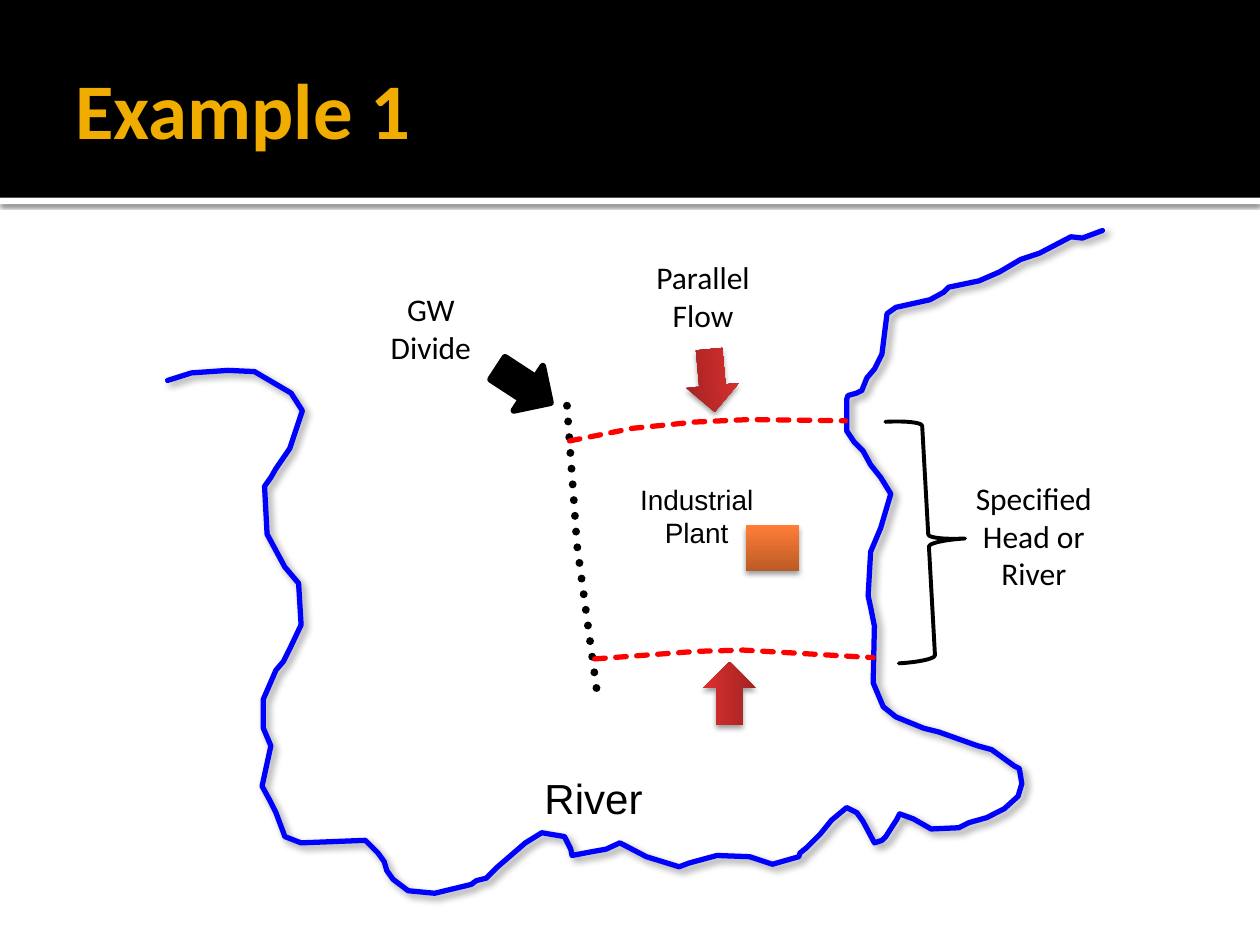
from lxml.etree import SubElement
from pptx import Presentation
from pptx.dml.color import RGBColor
from pptx.enum.dml import MSO_LINE
from pptx.enum.shapes import MSO_SHAPE
from pptx.enum.text import MSO_ANCHOR, PP_ALIGN
from pptx.oxml.ns import qn
from pptx.util import Inches, Pt

COLUMNS, ROWS = 100, 75
CELL = Inches(10) // COLUMNS
COLORS = {
    "black": "000000", "white": "FFFFFF", "title": "F0AD00",
    "river": "0000FF", "flow": "FF0000",
    "plant_dark": "BC5B26", "plant_light": "FF7D37",
    "arrow_dark": "A02322", "arrow_light": "DC302F",
}
# opacity in percent, blur and distance in points, angle in degrees
BAND_SHADOW = (60, 2.5, 0.8, 90)
RIVER_SHADOW = (40, 4, 3, 45)
OBJECT_SHADOW = (38, 3.1, 2, 90)

# Points are (column, row) on the grid.
RIVER = [
    (13.3, 30.2), (15.2, 29.6), (18.1, 29.4), (20.2, 29.5), (23.1, 31.2), (24, 32.6),
    (23, 35.6), (21.9, 37.2), (21.5, 37.9), (21, 38.6), (21.2, 42.4), (22.6, 45),
    (23.7, 46.3), (23.9, 49.6), (23, 51.5), (22.5, 52.5), (21.9, 53.2), (20.9, 55.5),
    (20.9, 57.8), (21.5, 59.2), (20.8, 62.4), (21.4, 63.5), (21.9, 64.5), (22.5, 66.1),
    (22.6, 66.4), (23.9, 66.9), (29, 66.7), (30, 67.7), (30.5, 68.4), (30.7, 69.1),
    (31.2, 69.8), (32.4, 70.7), (34.5, 70.9), (37.4, 70.2), (37.8, 69.9), (38.6, 69.7),
    (39.5, 68.8), (41.7, 66.9), (43, 66.1), (44.8, 66.4), (45.3, 67.4), (45.4, 67.9),
    (47, 67.6), (48.1, 67.4), (49.2, 66.9), (51.3, 68), (53.9, 68.8), (54.7, 68.5),
    (56.9, 67.9), (59.5, 68), (61.3, 68.6), (63.4, 68), (63.5, 67.7), (64, 67.3),
    (65.1, 66.2), (66, 65.1), (67.2, 64.1), (68, 64.5), (68.5, 65.2), (69.4, 66.9),
    (70, 66.7), (70.3, 66.4), (71.2, 65), (71.4, 64.6), (72.5, 65), (73.9, 65.8),
    (76.1, 65.7), (76.9, 65.3), (78.3, 64.9), (79.7, 64.2), (80.8, 63.2), (81.1, 62.2),
    (80.9, 61), (80.5, 60.8), (78.7, 59.5), (77.6, 59.2), (74.5, 58.1), (73.3, 57.8),
    (71.1, 56.9), (70.1, 56.1), (69.3, 54.2), (69.4, 49.7), (69.1, 48.2), (68.9, 47.3),
    (69.1, 43.8), (69.9, 41.9), (70.7, 39.2), (69.9, 37.9), (69.1, 36.9), (68.5, 35.8),
    (67.8, 35.1), (67.2, 34.2), (67.2, 31.7), (67.3, 31.4), (68, 31.2), (68.4, 31),
    (68.8, 30), (69.4, 29.3), (70, 28.1), (70.4, 24.9), (71.1, 24.4), (73.8, 23.8),
    (74.9, 23.2), (75.3, 22.8), (77.7, 22.3), (79.3, 21.6), (81, 20.6), (82.5, 20.1),
    (85, 18.8), (85.9, 18.9), (87.5, 18.3),
]
DIVIDE = [(45, 32.2), (45.8, 43.3), (47.5, 55.8)]
UPPER_FLOW = [(45.2, 35), (50.2, 34), (55.2, 33.5), (59.5, 33.3), (67.1, 33.4)]
LOWER_FLOW = [(47.2, 52.3), (55.3, 51.7), (59, 51.6), (69.3, 52.2)]


def color(name):
    return RGBColor.from_string(COLORS[name])


def grid(*cells):
    return [round(cell * CELL) for cell in cells]


def set_shadow(shape, shadow):
    shape.shadow.inherit = False
    if shadow:
        opacity, blur, distance, angle = shadow
        effects = shape._element.spPr.find(qn("a:effectLst"))
        outer = SubElement(effects, qn("a:outerShdw"), blurRad=str(Pt(blur)),
                           dist=str(Pt(distance)), dir=str(angle * 60000), rotWithShape="0")
        shade = SubElement(outer, qn("a:srgbClr"), val=COLORS["black"])
        SubElement(shade, qn("a:alpha"), val=str(opacity * 1000))


def set_line(shape, name, width, dash=None):
    shape.line.color.rgb = color(name)
    shape.line.width = Pt(width)
    if dash:
        shape.line.dash_style = dash
    shape._element.spPr.find(qn("a:ln")).set("cap", "rnd")


def add_course(slide, points, name, width, dash=None, shadow=None):
    """Draw an open outline through the points."""
    start, *others = [grid(*point) for point in points]
    builder = slide.shapes.build_freeform(*start)
    builder.add_line_segments(others, close=False)
    shape = builder.convert_to_shape()
    shape.fill.background()
    set_line(shape, name, width, dash)
    set_shadow(shape, shadow)


def add_preset(slide, kind, cells, fill=None, line=None, rotation=0, shadow=None):
    """Fill is a colour name or a (bottom, top) pair; line is (colour, points)."""
    shape = slide.shapes.add_shape(kind, *grid(*cells))
    shape.rotation = rotation
    if isinstance(fill, tuple):
        shape.fill.gradient()
        shape.fill.gradient_angle = 90
        for position, (stop, name) in enumerate(zip(shape.fill.gradient_stops, fill)):
            stop.color.rgb = color(name)
            stop.position = position
    elif fill:
        shape.fill.solid()
        shape.fill.fore_color.rgb = color(fill)
    else:
        shape.fill.background()
    if line:
        set_line(shape, *line)
    else:
        shape.line.fill.background()
    set_shadow(shape, shadow)


def add_text(slide, text, cells, font="Calibri", size=18, name="black", bold=False,
             align=PP_ALIGN.CENTER, anchor=MSO_ANCHOR.TOP):
    frame = slide.shapes.add_textbox(*grid(*cells)).text_frame
    frame.word_wrap = True
    frame.vertical_anchor = anchor
    paragraph = frame.paragraphs[0]
    paragraph.alignment = align
    run = paragraph.add_run()
    run.text = text
    run.font.name, run.font.size, run.font.bold = font, Pt(size), bold
    run.font.color.rgb = color(name)


def add_header(slide):
    add_preset(slide, MSO_SHAPE.RECTANGLE, (0, 15.7, COLUMNS, 0.5), "white", shadow=BAND_SHADOW)
    add_preset(slide, MSO_SHAPE.RECTANGLE, (0, 0, COLUMNS, 15.7), "black")
    add_text(slide, "Example 1", (5, 1.7, 90, 13.7), size=45, name="title", bold=True,
             align=PP_ALIGN.LEFT, anchor=MSO_ANCHOR.MIDDLE)


def add_map(slide):
    add_course(slide, RIVER, "river", 3, shadow=RIVER_SHADOW)
    add_preset(slide, MSO_SHAPE.RECTANGLE, (59.2, 41.7, 4.2, 3.6),
               ("plant_dark", "plant_light"), shadow=OBJECT_SHADOW)
    add_text(slide, "River", (36.7, 60.8, 20.8, 5), font="Arial", size=24)
    add_text(slide, "Industrial Plant", (47.8, 37.8, 15, 6.4), font="Arial", size=16)


def add_boundaries(slide):
    add_course(slide, DIVIDE, "black", 4.5, MSO_LINE.ROUND_DOT)
    add_preset(slide, MSO_SHAPE.RIGHT_ARROW, (39.1, 28.5, 5, 4.2), "black",
               line=("black", 3.78), rotation=33.1)
    add_text(slide, "GW Divide", (29.2, 22.5, 10, 7.1))

    for points in (UPPER_FLOW, LOWER_FLOW):
        add_course(slide, points, "flow", 3, MSO_LINE.SQUARE_DOT)
    for left, top, rotation in ((54, 28.1, 84.8), (55.4, 52.9, 270)):
        add_preset(slide, MSO_SHAPE.RIGHT_ARROW, (left, top, 5, 4.2),
                   ("arrow_dark", "arrow_light"), rotation=rotation, shadow=OBJECT_SHADOW)
    add_text(slide, "Parallel Flow", (50.8, 20, 10, 7.1))

    add_preset(slide, MSO_SHAPE.RIGHT_BRACE, (70.8, 33.3, 5.8, 19.2),
               line=("black", 2.25), rotation=356.8)
    add_text(slide, "Specified Head or River", (75.8, 37.5, 12.5, 10.1))


def main():
    presentation = Presentation()
    presentation.slide_width = COLUMNS * CELL
    presentation.slide_height = ROWS * CELL
    slide = presentation.slides.add_slide(presentation.slide_layouts[6])
    add_header(slide)
    add_map(slide)
    add_boundaries(slide)
    presentation.save("out.pptx")


if __name__ == "__main__":
    main()
